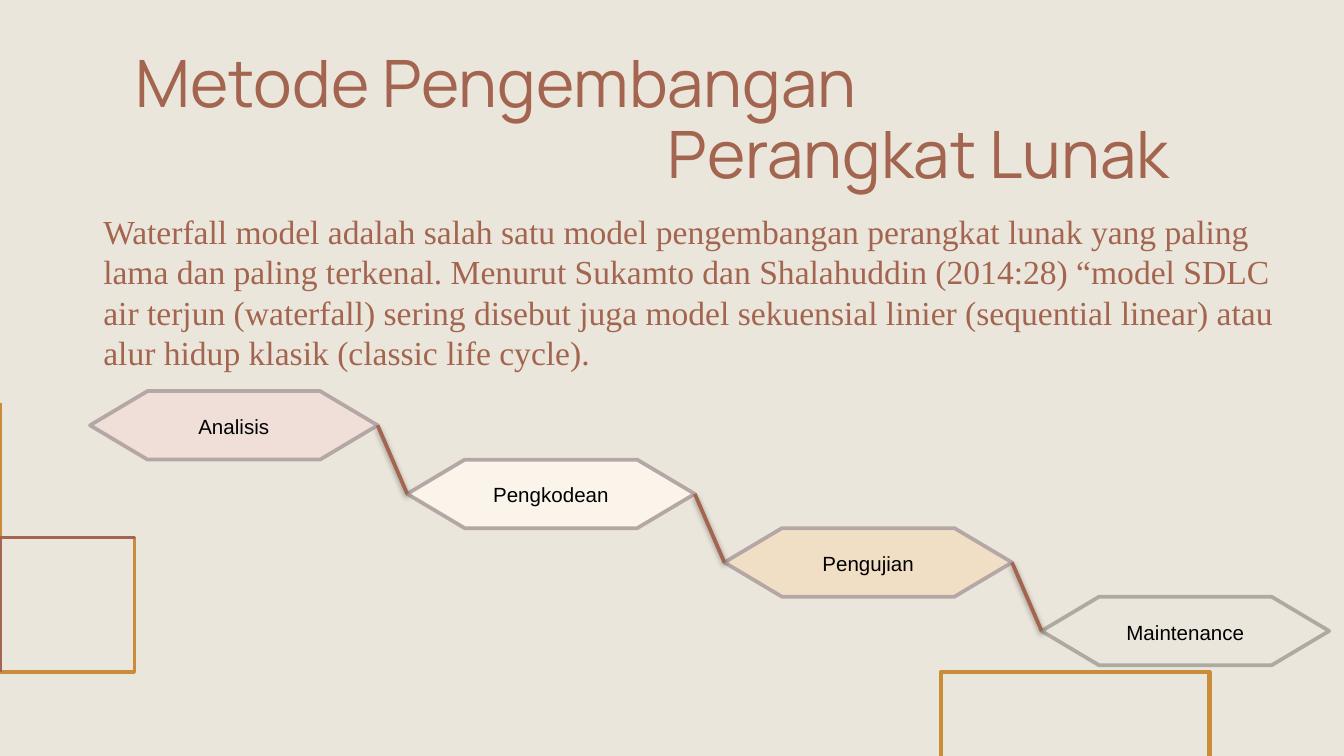
"""Build the slide on the waterfall software development method."""
from dataclasses import dataclass

from lxml import etree
from pptx import Presentation, oxml, util as u
from pptx.dml.color import RGBColor
from pptx.enum import shapes, text
from pptx.oxml.ns import qn

WIDTH, HEIGHT = u.Inches(10), u.Inches(5.625)
SAND = RGBColor(0xEB, 0xE6, 0xDB)
RUST = RGBColor(0xA3, 0x65, 0x4F)
GOLD = RGBColor(0xC9, 0x8D, 0x3A)
BLUSH = RGBColor(0xEF, 0xDF, 0xD8)
CREAM = RGBColor(0xFA, 0xF4, 0xEB)
WHEAT = RGBColor(0xF1, 0xDF, 0xC5)
MAUVE = RGBColor(0xB6, 0xA7, 0xA7)
STONE = RGBColor(0xAE, 0xAA, 0xA2)
BLACK = RGBColor(0, 0, 0)

STAIR_LEFT, STAIR_TOP = 0.67, 2.91
STAGE_WIDTH, STAGE_HEIGHT = 2.14, 0.51
STAGE_STEP = 2.36
SAMPLES = 8

SHADOW = (
    '<a:effectLst xmlns:a="http://schemas.openxmlformats.org/drawingml/2006/main">'
    '<a:outerShdw blurRad="39370" dist="20320" dir="5400000" rotWithShape="0">'
    '<a:srgbClr val="000000"><a:alpha val="38000"/></a:srgbClr>'
    '</a:outerShdw></a:effectLst>'
)


@dataclass
class Stage:
    """One step of the waterfall."""
    name: str
    fill: RGBColor
    border: RGBColor = MAUVE


@dataclass
class Swirl:
    """A decorative curve through points given in inches."""
    color: RGBColor
    weight: float
    points: list[tuple[float, float]]


STAGES = [
    Stage("Analisis", BLUSH),
    Stage("Pengkodean", CREAM),
    Stage("Pengujian", WHEAT),
    Stage("Maintenance", SAND, STONE),
]

SWIRLS = [
    Swirl(GOLD, 1.75, [(0, 3.41), (0.14, 3.53), (0.35, 3.74), (0.53, 3.94), (0.68, 4.16),
                       (0.78, 4.42), (0.78, 4.58), (0.73, 4.72), (0.53, 5.02),
                       (0.23, 5.21), (0, 5.29)]),
    Swirl(RUST, 1.75, [(0, 3.59), (0.15, 3.73), (0.32, 3.91), (0.48, 4.17), (0.52, 4.37),
                       (0.48, 4.48), (0.41, 4.55), (0.28, 4.58), (0.12, 4.58), (0, 4.58)]),
    Swirl(RUST, 1.25, [(7.06, 5.62), (7.11, 5.42), (7.19, 5.23), (7.38, 5.02), (7.59, 4.93),
                       (7.76, 4.91), (7.87, 4.92), (8.03, 4.97), (8.26, 5.13),
                       (8.48, 5.34), (8.71, 5.54), (8.84, 5.62)]),
    Swirl(GOLD, 2.25, [(7.41, 5.62), (7.5, 5.48), (7.67, 5.34), (7.8, 5.29), (7.88, 5.27),
                       (7.99, 5.27), (8.17, 5.3), (8.35, 5.38), (8.6, 5.52), (8.81, 5.62)]),
]


def smooth_curve(points: list[tuple[float, float]]) -> list[tuple[float, float]]:
    """Return a Catmull-Rom curve through the points."""
    padded = [points[0], *points, points[-1]]
    curve = [points[0]]
    for a, b, c, d in zip(padded, padded[1:], padded[2:], padded[3:]):
        for sample in range(1, SAMPLES + 1):
            t = sample / SAMPLES
            curve.append(tuple(
                (2 * q + (r - p) * t + (2 * p - 5 * q + 4 * r - s) * t ** 2
                 + (3 * q - p - 3 * r + s) * t ** 3) / 2
                for p, q, r, s in zip(a, b, c, d)))
    return curve


def draw_swirl(slide, swirl: Swirl) -> None:
    """Draw an open curve."""
    start, *rest = smooth_curve(swirl.points)
    builder = slide.shapes.build_freeform(*start, scale=u.Inches(1))
    builder.add_line_segments(rest, close=False)
    curve = builder.convert_to_shape()
    curve.shadow.inherit = False
    curve.fill.background()
    curve.line.color.rgb = swirl.color
    curve.line.width = u.Pt(swirl.weight)


def place(shape, left: float, top: float, width: float, height: float) -> None:
    """Set a shape's frame in inches."""
    shape.left, shape.top = u.Inches(left), u.Inches(top)
    shape.width, shape.height = u.Inches(width), u.Inches(height)


def set_frame(frame, anchor: text.MSO_ANCHOR) -> None:
    """Make a text frame wrap with even margins."""
    frame.word_wrap = True
    frame.auto_size = text.MSO_AUTO_SIZE.NONE
    frame.vertical_anchor = anchor
    frame.margin_left = frame.margin_right = u.Inches(0.1)
    frame.margin_top = frame.margin_bottom = u.Inches(0.1)


def style(paragraph, font: str, size: float, color: RGBColor,
          align: text.PP_ALIGN = text.PP_ALIGN.LEFT) -> None:
    """Format a paragraph and its runs."""
    paragraph.alignment = align
    for run in paragraph.runs:
        run.font.name = font
        run.font.size = u.Pt(size)
        run.font.color.rgb = color


def write_title(title) -> None:
    """Fill the title, its second line indented."""
    place(title, 0.91, 0.28, 8.43, 1.55)
    frame = title.text_frame
    frame.text = "Metode Pengembangan\nPerangkat Lunak"
    set_frame(frame, text.MSO_ANCHOR.TOP)
    for paragraph in frame.paragraphs:
        style(paragraph, "Manrope", 35, RUST)
        paragraph.line_spacing = 0.9
        paragraph.space_before = u.Pt(0)
    frame.paragraphs[1]._p.get_or_add_pPr().set("marL", str(u.Inches(3.96)))


def write_summary(slide) -> None:
    """Add the paragraph that explains the model."""
    summary = slide.shapes.add_textbox(0, 0, 0, 0)
    place(summary, 0.67, 1.47, 9.01, 1.44)
    frame = summary.text_frame
    frame.text = (
        "Waterfall model adalah salah satu model pengembangan perangkat lunak yang paling "
        "lama dan paling terkenal. Menurut Sukamto dan Shalahuddin (2014:28) “model SDLC "
        "air terjun (waterfall) sering disebut juga model sekuensial linier (sequential "
        "linear) atau alur hidup klasik (classic life cycle).")
    set_frame(frame, text.MSO_ANCHOR.TOP)
    style(frame.paragraphs[0], "Times New Roman", 18, RUST)
    frame.paragraphs[0].space_after = u.Pt(16)


def draw_stage(slide, stage: Stage, step: int):
    """Draw one hexagon of the staircase."""
    hexagon = slide.shapes.add_shape(shapes.MSO_SHAPE.FLOWCHART_PREPARATION, 0, 0, 0, 0)
    place(hexagon, STAIR_LEFT + step * STAGE_STEP, STAIR_TOP + step * STAGE_HEIGHT,
          STAGE_WIDTH, STAGE_HEIGHT)
    hexagon.shadow.inherit = False
    hexagon.fill.solid()
    hexagon.fill.fore_color.rgb = stage.fill
    hexagon.line.color.rgb = stage.border
    hexagon.line.width = u.Pt(2)
    frame = hexagon.text_frame
    frame.text = stage.name
    frame.vertical_anchor = text.MSO_ANCHOR.MIDDLE
    style(frame.paragraphs[0], "Arial", 11, BLACK, text.PP_ALIGN.CENTER)
    frame.paragraphs[0].line_spacing = 1.07
    return hexagon


def join_stages(slide, upper, lower) -> None:
    """Link two neighbouring stages with a softly shadowed line."""
    link = slide.shapes.add_connector(shapes.MSO_CONNECTOR.STRAIGHT, 0, 0, 0, 0)
    link.begin_connect(upper, 3)
    link.end_connect(lower, 1)
    link.line.color.rgb = RUST
    link.line.width = u.Pt(2)
    link._element.find(qn("p:spPr")).append(oxml.parse_xml(etree.tostring(etree.fromstring(SHADOW))))


def main() -> None:
    """Build and save the slide."""
    deck = Presentation()
    deck.slide_width, deck.slide_height = WIDTH, HEIGHT
    slide = deck.slides.add_slide(deck.slide_layouts[5])
    slide.background.fill.solid()
    slide.background.fill.fore_color.rgb = SAND
    for swirl in SWIRLS:
        draw_swirl(slide, swirl)
    write_title(slide.shapes.title)
    write_summary(slide)
    hexagons = [draw_stage(slide, stage, step) for step, stage in enumerate(STAGES)]
    for upper, lower in zip(hexagons, hexagons[1:]):
        join_stages(slide, upper, lower)
    deck.save("out.pptx")


if __name__ == "__main__":
    main()
